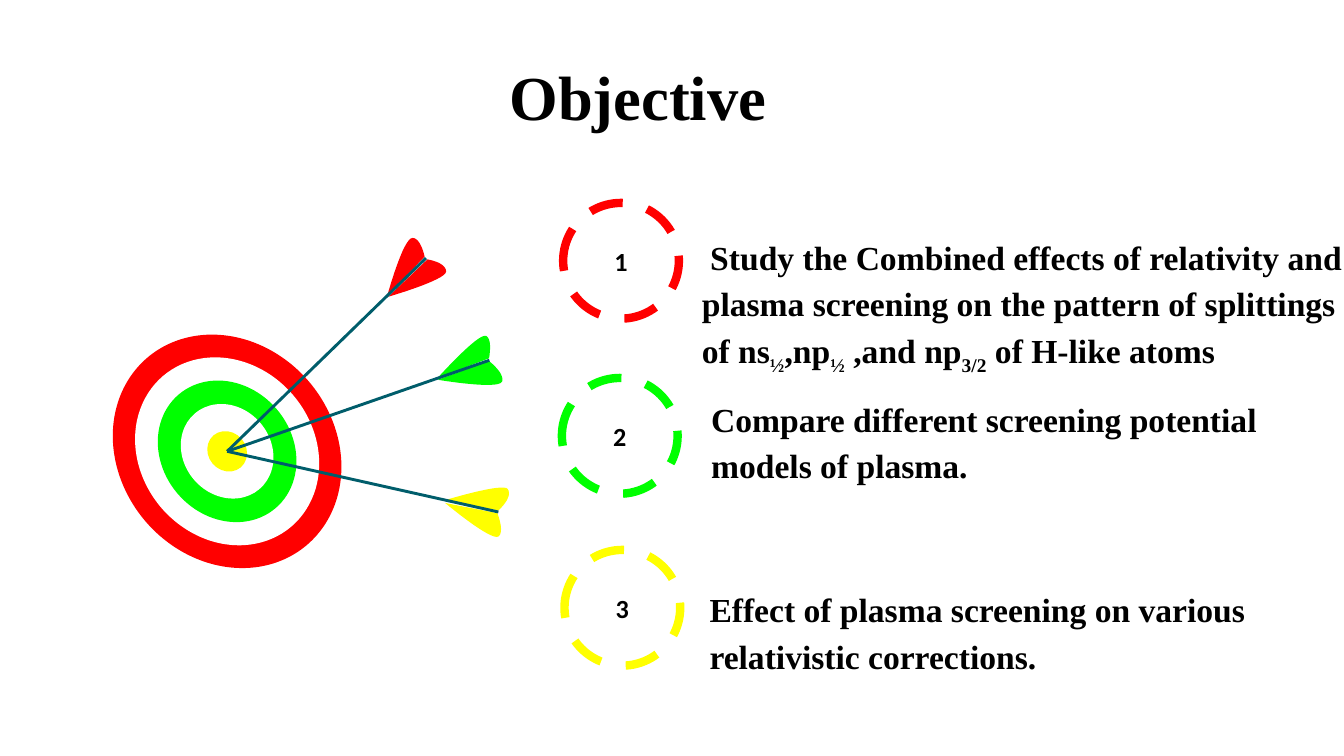
from lxml.etree import SubElement
from pptx import Presentation
from pptx.dml.color import RGBColor
from pptx.enum.dml import MSO_LINE
from pptx.enum.shapes import MSO_CONNECTOR, MSO_SHAPE
from pptx.enum.text import MSO_ANCHOR, PP_ALIGN
from pptx.oxml.ns import qn
from pptx.util import Pt

RED, GREEN, YELLOW = "FF0000", "00FF00", "FFFF00"
WHITE, BLACK, TEAL = "FFFFFF", "000000", "005D6B"
SERIF, SANS = "Times New Roman", "Calibri"
HUB = (121.7, 241.8)
TILT = 319.5


def tint(code):
    return RGBColor.from_string(code)


def curve(a, b, c, d, steps=16):
    """Points of a cubic Bezier curve, without its start."""
    for n in range(1, steps + 1):
        t = n / steps
        s = 1 - t
        yield tuple(s**3 * p + 3 * s * s * t * q + 3 * s * t * t * u + t**3 * v
                    for p, q, u, v in zip(a, b, c, d))


class Deck:
    def __init__(self, slide):
        self.shapes = slide.shapes

    def paint(self, shape, fill):
        shape.shadow.inherit = False
        shape.fill.solid()
        shape.fill.fore_color.rgb = tint(fill)
        shape.line.fill.background()

    def style(self, run, size, font=SERIF):
        run.font.size = Pt(size)
        run.font.name = font
        run.font.bold = True
        run.font.color.rgb = tint(BLACK)

    def inset(self, frame, side, top):
        frame.margin_left = frame.margin_right = Pt(side)
        frame.margin_top = frame.margin_bottom = Pt(top)

    def oval(self, x, y, wide, high, fill, turn=0):
        shape = self.shapes.add_shape(
            MSO_SHAPE.OVAL, Pt(x), Pt(y), Pt(wide), Pt(high))
        shape.rotation = turn
        self.paint(shape, fill)
        return shape

    def ring(self, wide, high, fill):
        """Tilted disc centred on the hub of the target."""
        x, y = HUB
        self.oval(x - wide / 2, y - high / 2, wide, high, fill, TILT)

    def fin(self, color, tip, bend, peak, turn, end):
        """Half of a dart's flight: tip to peak, then round to the end."""
        dots = [*curve(tip, tip, bend, peak), *curve(peak, turn, end, end)]
        form = self.shapes.build_freeform(Pt(tip[0]), Pt(tip[1]), scale=1)
        form.add_line_segments([(Pt(x), Pt(y)) for x, y in dots], close=True)
        self.paint(form.convert_to_shape(), color)

    def shaft(self, x, y):
        line = self.shapes.add_connector(
            MSO_CONNECTOR.STRAIGHT, Pt(x), Pt(y), Pt(HUB[0]), Pt(HUB[1]))
        line.line.color.rgb = tint(TEAL)
        line.line.width = Pt(1.57)
        SubElement(line._element.spPr, qn("a:effectLst"))

    def badge(self, x, y, color, label):
        shape = self.oval(x, y, 62, 62, WHITE)
        shape.line.color.rgb = tint(color)
        shape.line.width = Pt(4.5)
        shape.line.dash_style = MSO_LINE.DASH
        frame = shape.text_frame
        frame.text = label
        frame.vertical_anchor = MSO_ANCHOR.MIDDLE
        self.inset(frame, 5, 3)
        para = frame.paragraphs[0]
        para.alignment = PP_ALIGN.CENTER
        self.style(para.runs[0], 14, SANS)

    def text(self, x, y, wide, high, parts, size=18, space=1.15, pad=(5, 3)):
        """Text box; every second part is a subscript."""
        box = self.shapes.add_textbox(Pt(x), Pt(y), Pt(wide), Pt(high))
        frame = box.text_frame
        frame.word_wrap = True
        self.inset(frame, *pad)
        para = frame.paragraphs[0]
        para.line_spacing = space
        for n, part in enumerate(parts):
            run = para.add_run()
            run.text = part
            self.style(run, size)
            if n % 2:
                run.font._element.set("baseline", "-25000")


RINGS = [(137.5, 157, WHITE), (115.2, 131.8, RED), (92.9, 106, WHITE),
         (69.8, 80, GREEN), (46.8, 53.3, WHITE), (20.4, 22.5, YELLOW)]

# colour, end of the shaft, two fins
DARTS = [
    (RED, (228.2, 138.3), [
        [(207.5, 158.5), (216, 127.5), (221, 127.5), (225.5, 127.5), (227.5, 137.5)],
        [(208, 159), (239, 150), (239, 145.5), (239, 140.5), (229, 139)]]),
    (GREEN, (262.2, 193), [
        [(234.5, 202.5), (256.5, 178), (260.5, 180), (264, 182), (262, 192)],
        [(234.5, 203.5), (267, 209), (269, 204.5), (270.5, 200), (262, 193.5)]]),
    (YELLOW, (267, 274.3), [
        [(238.5, 268), (269.5, 258.5), (272, 262), (275, 266.5), (267, 273.5)],
        [(238.5, 269.5), (263, 290), (267, 287.5), (270.5, 285), (266.5, 275)]]),
]

BADGES = [(301.7, 108.7, RED), (301, 202.5, GREEN), (302.4, 294.6, YELLOW)]

GOALS = [
    (371, 120.5, 358.5, 117,
     [" Study the Combined effects of relativity and plasma screening "
      "on the pattern of splittings of ns", "½", ",np", "½", " ,and np",
      "3/2", " of H-like atoms"], (5, 3)),
    (376, 207.4, 347, 88.5,
     ["Compare different screening potential models of plasma."], (5, 3)),
    (373, 305.3, 350.5, 53.5,
     ["Effect of plasma screening on various relativistic corrections."],
     (7.2, 7.2)),
]


def main():
    show = Presentation()
    show.slide_width, show.slide_height = Pt(720), Pt(405)
    deck = Deck(show.slides.add_slide(show.slide_layouts[6]))

    deck.text(268, 28, 452, 71, ["Objective"], size=33.5, space=1)
    for ring in RINGS:
        deck.ring(*ring)
    for color, tail, fins in DARTS:
        for fin in fins:
            deck.fin(color, *fin)
        deck.shaft(*tail)
    for n, (x, y, color) in enumerate(BADGES, 1):
        deck.badge(x, y, color, str(n))
    for x, y, wide, high, parts, pad in GOALS:
        deck.text(x, y, wide, high, parts, pad=pad)

    show.save("out.pptx")


if __name__ == "__main__":
    main()
